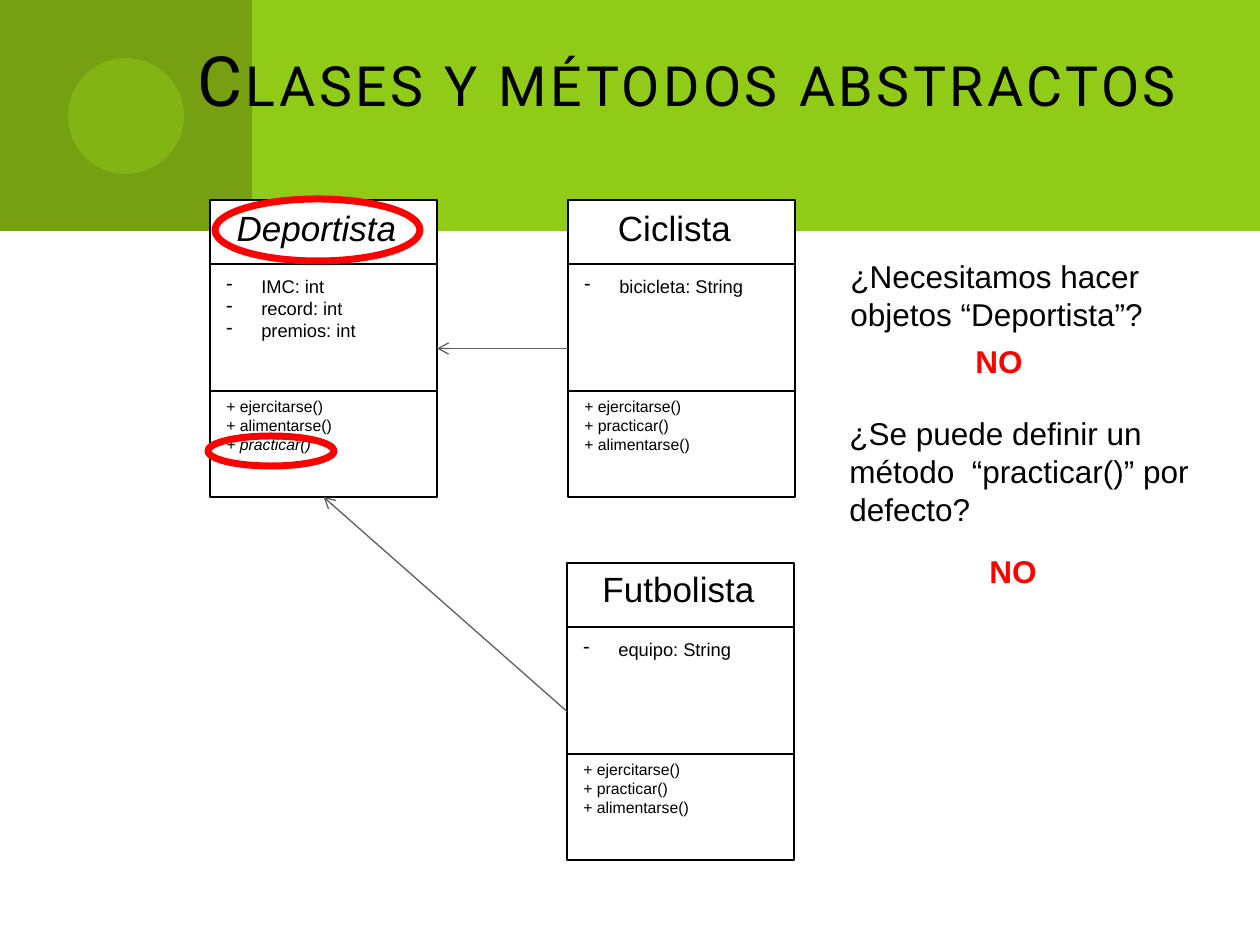
import pptx
import pptx.util
import pptx.dml.color
import pptx.enum.shapes
import pptx.enum.text
import pptx.oxml
import pptx.oxml.ns

COLORS = {"lime": "8FCB17", "olive": "769F11", "white": "FFFFFF",
          "black": "000000", "gray": "5E5E5E", "red": "FF0000"}
TITLE = "Clases y métodos abstractos"
CLASSES = [
    {"name": "Deportista", "at": (210, 200), "name_shift": (0, 0),
     "attributes": ["IMC: int", "record: int", "premios: int"],
     "methods": ["+ ejercitarse()", "+ alimentarse()", "+ practicar()"],
     "abstract": ["Deportista", "+ practicar()"]},
    {"name": "Ciclista", "at": (568, 200), "name_shift": (0, 0),
     "attributes": ["bicicleta: String"],
     "methods": ["+ ejercitarse()", "+ practicar()", "+ alimentarse()"],
     "abstract": []},
    {"name": "Futbolista", "at": (567, 563), "name_shift": (5, -2),
     "attributes": ["equipo: String"],
     "methods": ["+ ejercitarse()", "+ practicar()", "+ alimentarse()"],
     "abstract": []},
]
INHERITANCE = [("Ciclista", 1, "Deportista", 3), ("Futbolista", 1, "Deportista", 2)]
QUESTIONS = [
    ("¿Necesitamos hacer objetos “Deportista”?", (838, 251, 377, 89), "black", False),
    ("NO", (963, 336, 73, 50), "red", True),
    ("¿Se puede definir un método  “practicar()” por defecto?", (837, 408, 377, 127), "black", False),
    ("NO", (977, 546, 73, 50), "red", True),
]
HIGHLIGHTS = [(208, 436, 126, 30), (215, 199, 205, 62)]

CLASS_W, CLASS_H = 227, 297
DIVIDERS = [(64, 1.5), (191, 0.75)]
BULLET_INDENT = 35

SHAPES = pptx.enum.shapes.MSO_SHAPE
ALIGN = pptx.enum.text.PP_ALIGN


def px(n):
    return pptx.util.Emu(round(n * 914400 / 126))


def rgb(color):
    return pptx.dml.color.RGBColor.from_string(COLORS[color])


def add_child(parent, tag, **attributes):
    child = pptx.oxml.parse_xml(f"<a:{tag} {pptx.oxml.ns.nsdecls('a')}/>")
    for key, value in attributes.items():
        child.set(key, str(value))
    parent.append(child)


def add_figure(slide, kind, box, fill=None, line=None, width=0.75):
    figure = slide.shapes.add_shape(kind, *map(px, box))
    figure.shadow.inherit = False
    if fill:
        figure.fill.solid()
        figure.fill.fore_color.rgb = rgb(fill)
    else:
        figure.fill.background()
    if line:
        figure.line.color.rgb = rgb(line)
        figure.line.width = pptx.util.Pt(width)
    else:
        figure.line.fill.background()
    return figure


def add_line(slide, start, end, color, width):
    line = slide.shapes.add_connector(
        pptx.enum.shapes.MSO_CONNECTOR.STRAIGHT, *map(px, start + end))
    line.line.color.rgb = rgb(color)
    line.line.width = pptx.util.Pt(width)
    add_child(line._element.spPr, "effectLst")
    return line


def add_text(slide, box, lines, size, color="black", font="Arial", align=ALIGN.LEFT,
             bold=False, italics=(), bullets=False):
    frame = slide.shapes.add_textbox(*map(px, box)).text_frame
    frame.word_wrap = True
    frame.text = "\n".join(lines)
    for paragraph, line in zip(frame.paragraphs, lines):
        paragraph.alignment = align
        paragraph.font.size = pptx.util.Pt(size)
        paragraph.font.name = font
        paragraph.font.color.rgb = rgb(color)
        paragraph.font.bold = bold
        paragraph.font.italic = line in italics
        if bullets:
            properties = paragraph._p.get_or_add_pPr()
            properties.set("marL", str(px(BULLET_INDENT)))
            properties.set("indent", str(-px(BULLET_INDENT)))
            add_child(properties, "buChar", char="-")
            properties.append(properties.find(pptx.oxml.ns.qn("a:defRPr")))
    return frame


def add_header(slide):
    add_figure(slide, SHAPES.RECTANGLE, (0, 0, 1260, 231), "lime")
    add_figure(slide, SHAPES.RECTANGLE, (0, 0, 252, 231), "olive")
    disc = add_figure(slide, SHAPES.OVAL, (68, 58, 116, 116), "lime")
    disc_color = disc._element.spPr.find(".//" + pptx.oxml.ns.qn("a:srgbClr"))
    add_child(disc_color, "alpha", val=50000)
    title = add_text(slide, (185, 0, 1013, 158), [TITLE], 39.6, font="Roboto", align=ALIGN.RIGHT)
    title.vertical_anchor = pptx.enum.text.MSO_ANCHOR.MIDDLE
    title_style = title.paragraphs[0].runs[0]._r.get_or_add_rPr()
    title_style.set("spc", "200")
    title_style.set("cap", "small")


def add_class(slide, item):
    x, y = item["at"]
    dx, dy = item["name_shift"]
    body = add_figure(slide, SHAPES.RECTANGLE, (x, y, CLASS_W, CLASS_H), "white", "black")
    for offset, width in DIVIDERS:
        add_line(slide, (x, y + offset), (x + CLASS_W, y + offset), "black", width)
    add_text(slide, (x + dx, y + dy, 213, 67), [item["name"]], 20,
             align=ALIGN.CENTER, italics=item["abstract"])
    add_text(slide, (x + 4, y + 69, 224, 79), item["attributes"], 10.5, bullets=True)
    add_text(slide, (x + 4, y + 191, 229, 71), item["methods"], 9, italics=item["abstract"])
    return body


def main():
    deck = pptx.Presentation()
    deck.slide_width, deck.slide_height = px(1260), px(945)
    slide = deck.slides.add_slide(deck.slide_layouts[6])

    add_header(slide)
    bodies = {item["name"]: add_class(slide, item) for item in CLASSES}
    for child, child_side, parent, parent_side in INHERITANCE:
        arrow = add_line(slide, (0, 0), (0, 0), "gray", 0.75)
        arrow.begin_connect(bodies[child], child_side)
        arrow.end_connect(bodies[parent], parent_side)
        add_child(arrow.line._get_or_add_ln(), "tailEnd", type="arrow")
    for question, box, color, bold in QUESTIONS:
        add_text(slide, box, [question], 18, color, bold=bold)
    for box in HIGHLIGHTS:
        add_figure(slide, SHAPES.OVAL, box, line="red", width=4)

    deck.save("out.pptx")


if __name__ == "__main__":
    main()
